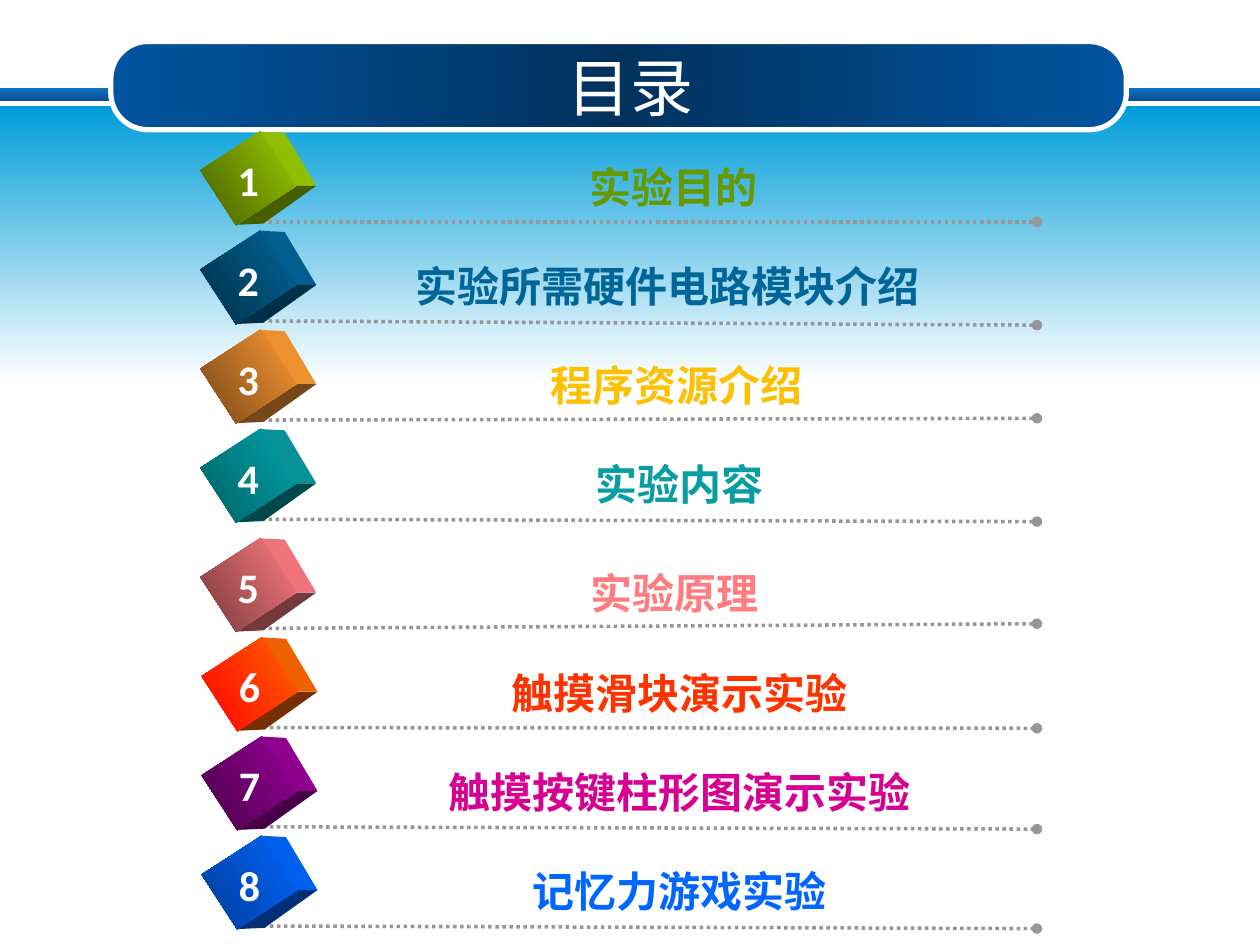
from copy import deepcopy
from lxml import etree
from pptx import Presentation
from pptx.dml.color import RGBColor
from pptx.enum.dml import MSO_LINE
from pptx.enum.shapes import MSO_CONNECTOR, MSO_SHAPE
from pptx.enum.text import MSO_ANCHOR, MSO_AUTO_SIZE, PP_ALIGN
from pptx.oxml.ns import qn
from pptx.util import Inches, Pt

RECT, ROUND = MSO_SHAPE.RECTANGLE, MSO_SHAPE.ROUNDED_RECTANGLE
STRAIGHT = MSO_CONNECTOR.STRAIGHT
DOTS = MSO_LINE.ROUND_DOT
CENTER, MIDDLE = PP_ALIGN.CENTER, MSO_ANCHOR.MIDDLE
GROW = MSO_AUTO_SIZE.SHAPE_TO_FIT_TEXT

COLORS = {
    "white": "FFFFFF", "dots": "969696",
    "rule_top": "0F6FC6", "rule_bottom": "0B4F8E", "sky": "009DD9",
    "title_edge": "01549F", "title_middle": "01325E",
}

# label, left, right, line end, label colour, front start, front end, side, underside
ROWS = [
    ("实验目的", 2.54, 8.15, 1.76, "669900", "99CC00", "475E00", "8FBF00", "475E00"),
    ("实验所需硬件电路模块介绍", 2.37, 8.23, 2.58, "006699", "006699", "002F47", "005F8F", "002F47"),
    ("程序资源介绍", 2.51, 8.23, 3.32, "FFC000", "FF9933", "764718", "EE8F30", "764718"),
    ("实验内容", 2.56, 8.23, 4.14, "089CA3", "00A4AB", "006165", "089196", "00484B"),
    ("实验原理", 2.48, 8.23, 4.95, "FF7C80", "FF7C80", "76393B", "EE7479", "76393B"),
    ("触摸滑块演示实验", 2.56, 8.23, 5.78, "FF3300", "FF6600", "FF0000", "EE6000", "762F00"),
    ("触摸按键柱形图演示实验", 2.56, 8.23, 6.58, "D60093", "990099", "470047", "8F008F", "470047"),
    ("记忆力游戏实验", 2.56, 8.23, 7.37, "0066FF", "0066FF", "003C97", "0060EE", "002F76"),
]
SIDE = [(0.10, -0.37), (0.29, -0.36), (0.54, 0.06), (0.38, 0.06)]
UNDERSIDE = [(-0.10, 0.37), (0.38, 0.06), (0.54, 0.06), (0.12, 0.36)]


def add_gradient_shape(kind, x, y, w, h, stops, angle):
    sp = s.shapes.add_shape(kind, Inches(x), Inches(y), Inches(w), Inches(h))
    sp.shadow.inherit = False
    sp.line.fill.background()
    sp.fill.gradient()
    sp.fill.gradient_angle = angle
    gs_list = sp._element.spPr.find(qn("a:gradFill")).find(qn("a:gsLst"))
    while len(gs_list) < len(stops):
        gs_list.append(deepcopy(gs_list[-1]))
    for i, (stop, color) in enumerate(zip(sp.fill.gradient_stops, stops)):
        stop.position = i / (len(stops) - 1)
        stop.color.rgb = RGBColor.from_string(color)
    return sp


def add_label(text, x, y, w, color, wrap):
    sp = s.shapes.add_textbox(Inches(x), Inches(y), Inches(w), Inches(0.5))
    tf = sp.text_frame
    tf.word_wrap = wrap
    tf.auto_size = GROW
    p = tf.paragraphs[0]
    p.text = text
    p.alignment = CENTER
    p.font.name = "Calibri"
    p.font.size = Pt(24)
    p.font.bold = True
    p.font.color.rgb = RGBColor.from_string(color)


prs = Presentation()
prs.slide_width, prs.slide_height = Inches(10), Inches(7.5)
s = prs.slides.add_slide(prs.slide_layouts[5])

add_gradient_shape(RECT, 0, 0.7, 10, 0.1, [COLORS["rule_top"], COLORS["rule_bottom"]], 270)
add_gradient_shape(RECT, 0, 0.84, 10, 2.2, [COLORS["sky"], COLORS["white"]], 270)
banner = add_gradient_shape(ROUND, 0.88, 0.33, 8.06, 0.7,
                            [COLORS["title_edge"], COLORS["title_middle"], COLORS["title_edge"]], 0)
banner.adjustments[0] = 0.42
banner.line.color.rgb = RGBColor.from_string(COLORS["white"])
banner.line.width = Pt(3)

title = s.shapes.title
banner._element.addnext(title._element)
title.left, title.top, title.width, title.height = Inches(0.5), Inches(0.3), Inches(9), Inches(0.77)
tf = title.text_frame
tf.vertical_anchor = MIDDLE
p = tf.paragraphs[0]
p.text = "目录"
p.alignment = CENTER
p.font.name = "Calibri"
p.font.size = Pt(36)
p.font.color.rgb = RGBColor.from_string(COLORS["white"])

for i, (label, left, right, line_end, color, front, front_end, side, underside) in enumerate(ROWS):
    x = 1.71 if i < 5 else 1.72
    y = 1.13 + 0.787 * i + (0.08 if i >= 4 else 0)
    cx, cy = x + 0.26, y + 0.285

    line = s.shapes.add_connector(STRAIGHT, Inches(x + 0.31), Inches(y + 0.63),
                                  Inches(8.23), Inches(line_end))
    line.line.color.rgb = RGBColor.from_string(COLORS["dots"])
    line.line.width = Pt(2)
    line.line.dash_style = DOTS
    etree.SubElement(line.line._get_or_add_ln(), qn("a:tailEnd"), type="oval")
    etree.SubElement(line._element.spPr, qn("a:effectLst"))

    for points, face_color in ((SIDE, side), (UNDERSIDE, underside)):
        corners = [(Inches(cx + dx), Inches(cy + dy)) for dx, dy in points]
        builder = s.shapes.build_freeform(*corners[0])
        builder.add_line_segments(corners[1:])
        face = builder.convert_to_shape()
        face.shadow.inherit = False
        face.fill.solid()
        face.fill.fore_color.rgb = RGBColor.from_string(face_color)
        face.line.fill.background()
    cube = add_gradient_shape(RECT, x, y, 0.52, 0.57, [front, front_end], 270)
    cube.rotation = 57

    add_label(label, left, y + 0.1, right - left, color, True)
    add_label(str(i + 1), cx - 0.2, y + 0.05, 0.4, COLORS["white"], False)

prs.save("out.pptx")
